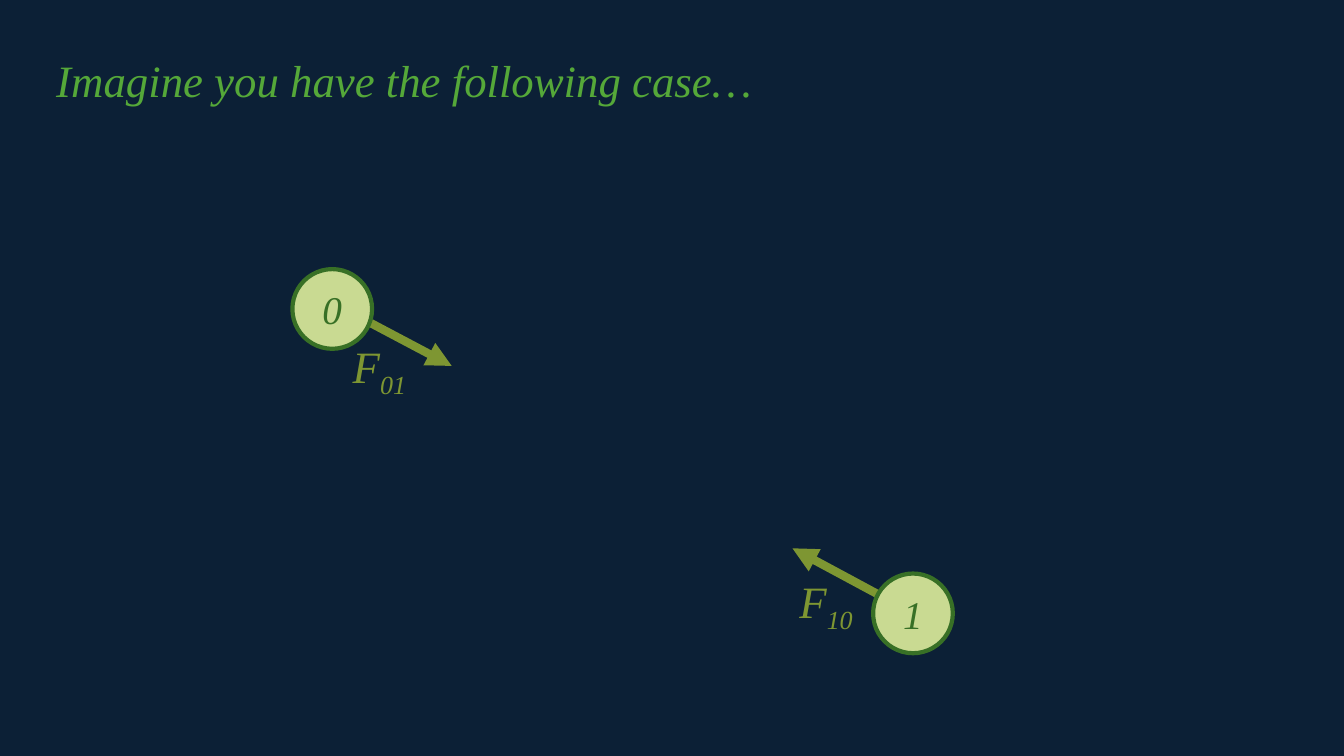
"""Build a slide with two bodies pulling on each other."""
import dataclasses

import lxml.etree
import pptx
import pptx.dml.color
import pptx.enum.shapes
import pptx.enum.text
import pptx.oxml.ns
import pptx.shapes.autoshape
import pptx.slide
import pptx.text.text
import pptx.util

Inches = pptx.util.Inches
FONT = "Times New Roman"
SIDE = 0.79
HIGH = 0.64
COLORS = {
    "back": "0C2036",
    "title": "55A839",
    "force": "7E9632",
    "body": "C9DA92",
    "edge": "387026",
}


@dataclasses.dataclass
class Body:
    name: str
    left: float
    top: float


@dataclasses.dataclass
class Force:
    start: tuple[float, float]
    end: tuple[float, float]
    index: str
    left: float
    top: float


BODIES = [Body("0", 2.9, 2.67), Body("1", 8.66, 5.69)]
FORCES = [
    Force((9.05, 6.08), (7.86, 5.44), "10", 7.83, 5.64),
    Force((3.29, 3), (4.48, 3.63), "01", 3.4, 3.31),
]


def color(name: str) -> pptx.dml.color.RGBColor:
    return pptx.dml.color.RGBColor.from_string(COLORS[name])


def style(para: pptx.text.text._Paragraph, size: int, name: str) -> None:
    font = para.font
    font.name = FONT
    font.size = pptx.util.Pt(size)
    font.italic = True
    font.color.rgb = color(name)


def add_text(slide: pptx.slide.Slide, left: float, top: float, width: float,
             text: str, name: str) -> pptx.text.text._Paragraph:
    box = slide.shapes.add_textbox(
        Inches(left), Inches(top), Inches(width), Inches(HIGH))
    frame = box.text_frame
    frame.word_wrap = True
    frame.auto_size = pptx.enum.text.MSO_AUTO_SIZE.SHAPE_TO_FIT_TEXT
    para = frame.paragraphs[0]
    para.add_run().text = text
    style(para, 32, name)
    return para


def add_arrow(slide: pptx.slide.Slide, force: Force) -> None:
    ends = [Inches(x) for x in (*force.start, *force.end)]
    arrow = slide.shapes.add_connector(
        pptx.enum.shapes.MSO_CONNECTOR.STRAIGHT, *ends)
    arrow.line.color.rgb = color("force")
    arrow.line.width = pptx.util.Pt(6)
    qn = pptx.oxml.ns.qn
    props = arrow.element.spPr
    lxml.etree.SubElement(
        props.find(qn("a:ln")), qn("a:tailEnd"), type="triangle")
    lxml.etree.SubElement(props, qn("a:effectLst"))


def add_body(slide: pptx.slide.Slide, body: Body) -> None:
    disc = slide.shapes.add_shape(
        pptx.enum.shapes.MSO_SHAPE.OVAL, Inches(body.left), Inches(body.top),
        Inches(SIDE), Inches(SIDE))
    disc.shadow.inherit = False
    disc.fill.solid()
    disc.fill.fore_color.rgb = color("body")
    disc.line.color.rgb = color("edge")
    disc.line.width = pptx.util.Pt(3)
    frame = disc.text_frame
    frame.text = body.name
    frame.vertical_anchor = pptx.enum.text.MSO_ANCHOR.MIDDLE
    para = frame.paragraphs[0]
    para.alignment = pptx.enum.text.PP_ALIGN.CENTER
    style(para, 28, "edge")


def add_label(slide: pptx.slide.Slide, force: Force) -> None:
    para = add_text(slide, force.left, force.top, SIDE, "F", "force")
    index = para.add_run()
    index.text = force.index
    index._r.get_or_add_rPr().set("baseline", "-25000")


def main() -> None:
    deck = pptx.Presentation()
    deck.slide_width = Inches(13.33)
    deck.slide_height = Inches(7.5)
    slide = deck.slides.add_slide(deck.slide_layouts[6])
    fill = slide.background.fill
    fill.solid()
    fill.fore_color.rgb = color("back")

    add_text(slide, 0.46, 0.47, 10.67,
             "Imagine you have the following case…", "title")
    for force in FORCES:
        add_arrow(slide, force)
    for body in BODIES:
        add_body(slide, body)
    for force in reversed(FORCES):
        add_label(slide, force)
    deck.save("out.pptx")


if __name__ == "__main__":
    main()
